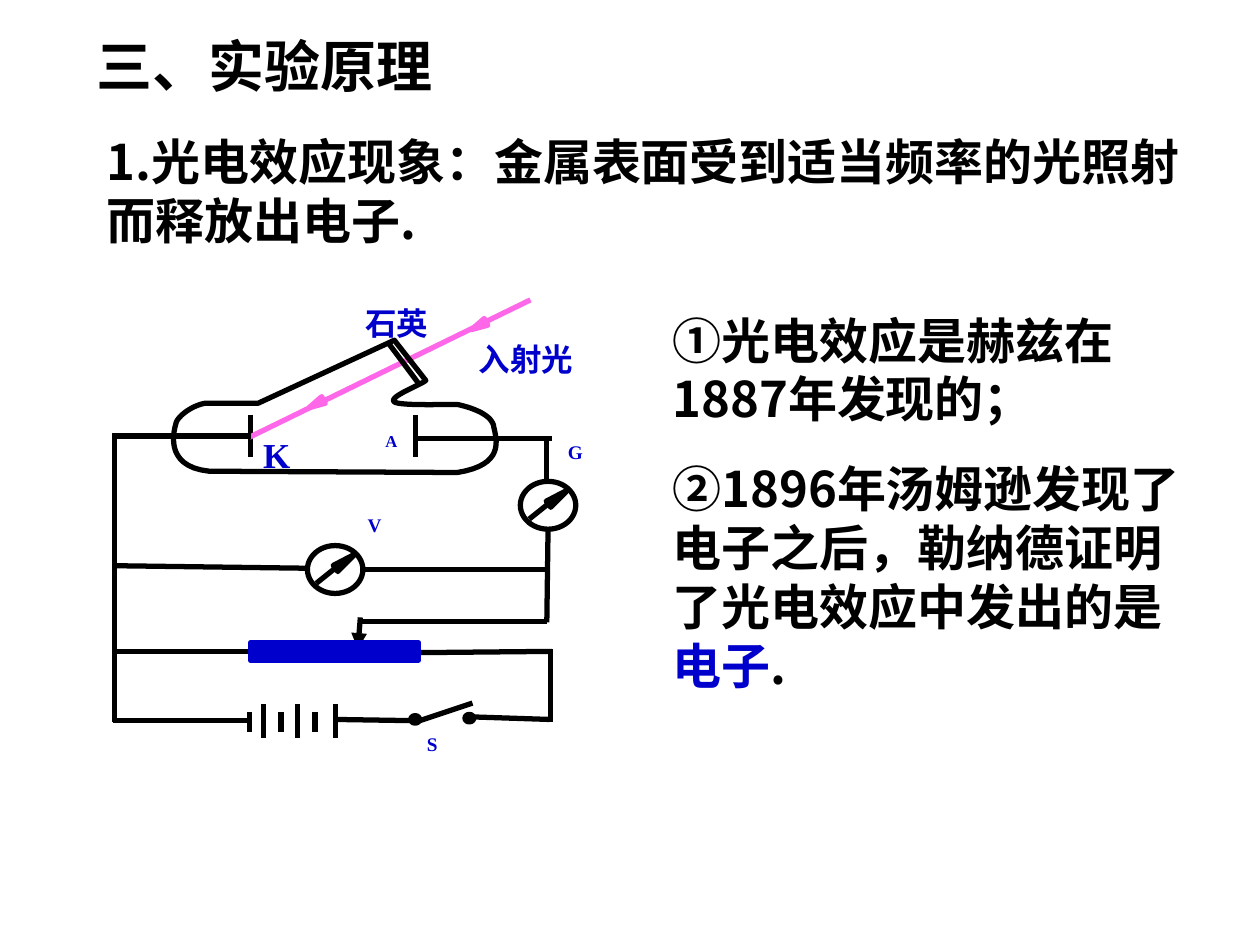
from typing import NamedTuple, Optional

from lxml.etree import SubElement
from pptx import Presentation
from pptx.dml.color import RGBColor
from pptx.enum.shapes import MSO_CONNECTOR, MSO_SHAPE
from pptx.enum.text import PP_ALIGN
from pptx.oxml.ns import qn
from pptx.util import Inches, Pt

BLACK = RGBColor(0x00, 0x00, 0x00)
BLUE = RGBColor(0x00, 0x00, 0xCC)
RAY_PINK = RGBColor(0xFF, 0x67, 0xE9)
HEAD_PINK = RGBColor(0xFF, 0x66, 0xCC)
SANS = "Noto Sans CJK SC"
SERIF = "Times New Roman"
STROKE = Pt(3)
CJK_LEADING = 1.204


class Wire(NamedTuple):
    x1: float
    y1: float
    x2: float
    y2: float
    color: RGBColor = BLACK
    arrow: bool = False


class Label(NamedTuple):
    text: str
    left: float
    top: float
    width: float
    height: float
    size: float
    spacing: Optional[float] = 0.8


WIRES = [
    Wire(1.99, 3.29, 1.99, 3.63),  # cathode K
    Wire(3.3, 3.29, 3.3, 3.63),  # anode A
    Wire(1.98, 3.47, 4.21, 2.38, RAY_PINK),
    Wire(3.08, 2.72, 3.32, 3.04),  # quartz window
    Wire(3.29, 3.48, 4.38, 3.48),
    Wire(4.34, 3.47, 4.34, 3.82),
    Wire(4.35, 4.2, 4.34, 4.94),
    Wire(2.9, 4.52, 4.34, 4.52),
    Wire(0.91, 4.49, 2.44, 4.51),
    Wire(0.91, 3.46, 1.99, 3.46),
    Wire(0.91, 3.44, 0.91, 5.73),
    Wire(1.99, 5.17, 0.91, 5.17),
    Wire(4.34, 4.93, 2.87, 4.93),
    Wire(4.38, 5.17, 3.3, 5.18),
    Wire(1.99, 5.72, 0.9, 5.72),
    Wire(3.29, 5.72, 2.66, 5.71),
    Wire(2.86, 4.9, 2.84, 5.15, arrow=True),  # rheostat slider
    Wire(4.37, 5.73, 4.37, 5.15),
    Wire(4.36, 5.71, 3.75, 5.69),
    Wire(3.3, 5.73, 3.75, 5.58),  # switch blade
]
LONG_PLATES = (2.09, 2.36, 2.66)
SHORT_PLATES = (1.98, 2.23, 2.5)
LABELS = [
    Label("V", 2.82, 4.06, 0.52, 0.31, 11),
    Label("G", 4.41, 3.48, 0.24, 0.31, 11),
    Label("S", 3.29, 5.8, 0.52, 0.31, 11),
    Label("A", 2.96, 3.4, 0.61, 0.27, 9.5),
    Label("K", 1.99, 3.39, 0.61, 0.56, 20, None),
    Label("石英", 2.8, 2.36, 0.79, 0.56, 18, Pt(18 * CJK_LEADING)),
    Label("入射光", 3.7, 2.65, 0.99, 0.42, 18, Pt(18 * CJK_LEADING)),
]
# Each step holds one end point, or two control points and an end point
TUBE_START = (3.38, 3.02)
TUBE_STEPS = [
    [(3.13, 2.7)],
    [(2.05, 3.2)],
    [(1.63, 3.2)],
    [(1.52, 3.22), (1.42, 3.3), (1.4, 3.35)],
    [(1.39, 3.39), (1.28, 3.7), (1.66, 3.74)],
    [(3.63, 3.75)],
    [(4.01, 3.69), (3.94, 3.49), (3.92, 3.39)],
    [(3.91, 3.3), (3.77, 3.24), (3.63, 3.21)],
    [(3.5, 3.21), (3.17, 3.22), (3.13, 3.19)],
    [(3.08, 3.15), (3.33, 3.06), TUBE_START],
]


def add_text(slide, paragraphs, left, top, width, height, *, size, font=SANS,
             color=BLACK, align=PP_ALIGN.LEFT, spacing=None, before=0) -> None:
    """Write paragraphs, each a list of (text, color or None) runs."""
    box = slide.shapes.add_textbox(Inches(left), Inches(top), Inches(width), Inches(height))
    frame = box.text_frame
    frame.word_wrap = True
    for index, runs in enumerate(paragraphs):
        paragraph = frame.add_paragraph() if index else frame.paragraphs[0]
        paragraph.alignment = align
        paragraph.line_spacing = spacing
        if index:
            paragraph.space_before = Pt(before)
        for text, run_color in runs:
            run = paragraph.add_run()
            run.text = text
            run.font.size = Pt(size)
            run.font.bold = True
            run.font.name = font
            run.font.color.rgb = run_color or color
            SubElement(run.font._element, qn("a:ea")).set("typeface", SANS)


def add_wire(slide, wire: Wire) -> None:
    line = slide.shapes.add_connector(
        MSO_CONNECTOR.STRAIGHT, Inches(wire.x1), Inches(wire.y1),
        Inches(wire.x2), Inches(wire.y2))
    line.line.color.rgb = wire.color
    line.line.width = STROKE
    if wire.arrow:
        SubElement(line.line._get_or_add_ln(), qn("a:tailEnd")).set("type", "triangle")
    SubElement(line._element.spPr, qn("a:effectLst"))


def style_outline(shape, color: RGBColor, fill: Optional[RGBColor]) -> None:
    shape.shadow.inherit = False
    shape.line.color.rgb = color
    shape.line.width = STROKE
    if fill is None:
        shape.fill.background()
    else:
        shape.fill.solid()
        shape.fill.fore_color.rgb = fill


def add_preset(slide, preset, left: float, top: float, width: float, height: float,
               color: RGBColor = BLACK, fill: Optional[RGBColor] = None,
               rotation: float = 0) -> None:
    shape = slide.shapes.add_shape(
        preset, Inches(left), Inches(top), Inches(width), Inches(height))
    shape.rotation = rotation
    style_outline(shape, color, fill)


def add_meter(slide, left: float, top: float) -> None:
    """Draw a round meter with a slanted needle."""
    add_preset(slide, MSO_SHAPE.OVAL, left, top, 0.44, 0.38)
    add_preset(slide, MSO_SHAPE.ISOSCELES_TRIANGLE, left + 0.27, top + 0.03, 0.06, 0.19,
               fill=BLACK, rotation=53.5)
    add_wire(slide, Wire(left + 0.22, top + 0.18, left + 0.07, top + 0.3))


def curve_points(start, first, second, end, count: int = 16) -> list:
    """Sample a cubic curve, leaving out its start."""
    points = []
    for step in range(1, count + 1):
        t = step / count
        u = 1 - t
        points.append(tuple(
            u**3 * a + 3 * u * u * t * b + 3 * u * t * t * c + t**3 * d
            for a, b, c, d in zip(start, first, second, end)))
    return points


def add_tube(slide) -> None:
    outline = [TUBE_START]
    for step in TUBE_STEPS:
        outline += step if len(step) == 1 else curve_points(outline[-1], *step)
    vertices = [(Inches(x), Inches(y)) for x, y in outline]
    builder = slide.shapes.build_freeform(*vertices[0], scale=1.0)
    builder.add_line_segments(vertices[1:], close=True)
    style_outline(builder.convert_to_shape(), BLACK, None)


def add_circuit(slide) -> None:
    for wire in WIRES:
        add_wire(slide, wire)
    for x in LONG_PLATES:
        add_wire(slide, Wire(x, 5.59, x, 5.86))
    for x in SHORT_PLATES:
        add_wire(slide, Wire(x, 5.65, x, 5.81))
    for left, top in ((2.48, 3.14), (3.77, 2.52)):
        add_preset(slide, MSO_SHAPE.ISOSCELES_TRIANGLE, left, top, 0.06, 0.13,
                   RAY_PINK, HEAD_PINK, 241.7)
    add_tube(slide)
    add_meter(slide, 2.44, 4.33)
    add_meter(slide, 4.13, 3.82)
    add_preset(slide, MSO_SHAPE.RECTANGLE, 1.99, 5.1, 1.33, 0.14, BLUE, BLUE)
    for left, top in ((3.26, 5.68), (3.69, 5.67)):
        add_preset(slide, MSO_SHAPE.OVAL, left, top, 0.07, 0.06, fill=BLACK)
    for label in LABELS:
        add_text(slide, [[(label.text, None)]], label.left, label.top, label.width,
                 label.height, size=label.size, font=SERIF, color=BLUE,
                 align=PP_ALIGN.JUSTIFY, spacing=label.spacing)


def main() -> None:
    deck = Presentation()
    deck.slide_width, deck.slide_height = Inches(10), Inches(7.5)
    slide = deck.slides.add_slide(deck.slide_layouts[6])
    body = {"size": 28, "spacing": Pt(28 * CJK_LEADING), "before": 17.5}
    add_text(slide, [[("三、实验原理", None)]], 0.67, 0.2, 4.33, 0.64,
             size=32, font="Arial", spacing=Pt(32 * CJK_LEADING))
    add_text(slide, [[("1.光电效应现象：金属表面受到适当频率的光照射而释放出电子.", None)]],
             0.75, 0.99, 8.98, 1.04, **body)
    add_text(slide, [
        [("①光电效应是赫兹在1887年发现的；", None)],
        [("②1896年汤姆逊发现了电子之后，勒纳德证明了光电效应中发出的是", None),
         ("电子", BLUE), (".", None)],
    ], 5.24, 2.41, 4.31, 3.15, **body)
    add_circuit(slide)
    deck.save("out.pptx")


if __name__ == "__main__":
    main()
